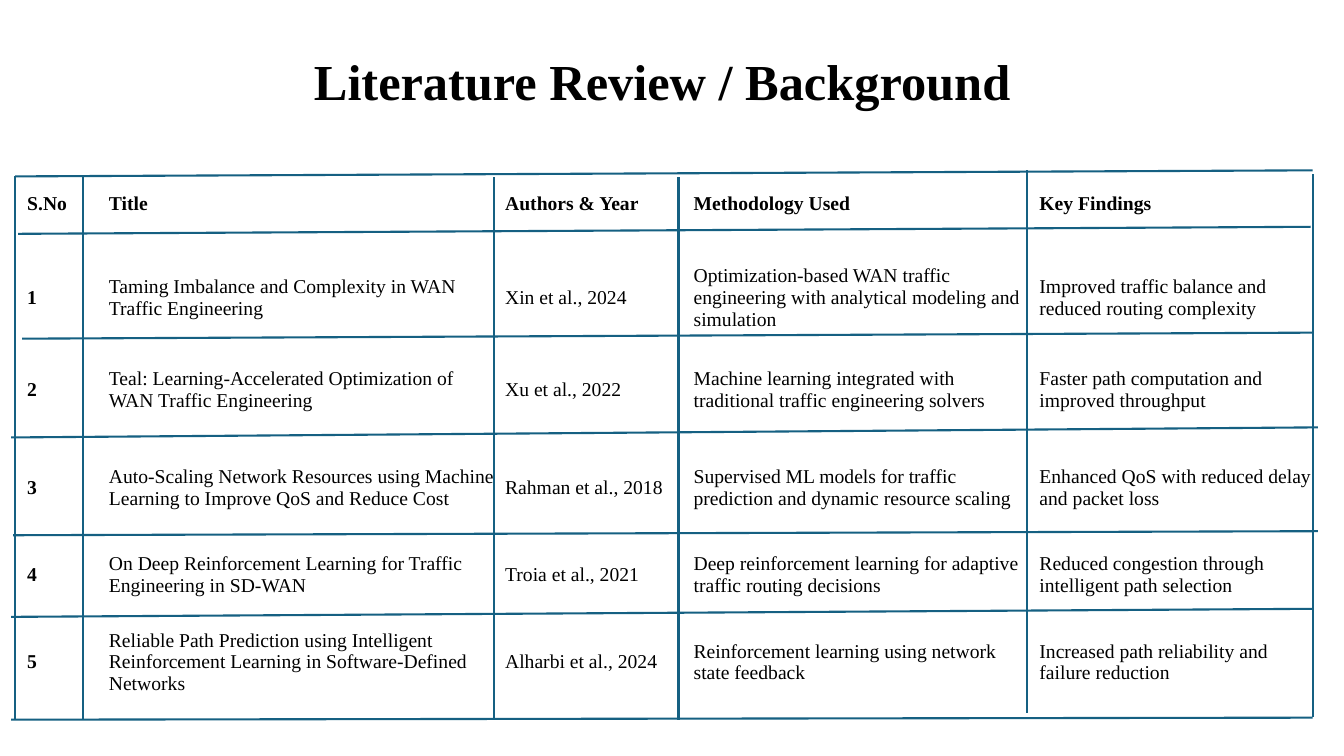
"""Build a literature review slide with a table and hand-ruled lines."""
import itertools
import pptx
import pptx.dml.color
import pptx.enum.shapes
import pptx.enum.text
import pptx.oxml.ns
import pptx.util
from lxml import etree

Inches, Pt = pptx.util.Inches, pptx.util.Pt
MIDDLE = pptx.enum.text.MSO_ANCHOR.MIDDLE
BLACK = pptx.dml.color.RGBColor(0x00, 0x00, 0x00)
TEAL = pptx.dml.color.RGBColor(0x15, 0x60, 0x82)
FONT = "Times New Roman"

TITLE = "Literature Review / Background"
HEADER = ("S.No", "Title", "Authors & Year", "Methodology Used", "Key Findings")
PAPERS = [
    ("Taming Imbalance and Complexity in WAN Traffic Engineering",
     "Xin et al., 2024",
     "Optimization-based WAN traffic engineering with analytical modeling and simulation",
     "Improved traffic balance and reduced routing complexity"),
    ("Teal: Learning-Accelerated Optimization of WAN Traffic Engineering",
     "Xu et al., 2022",
     "Machine learning integrated with traditional traffic engineering solvers",
     "Faster path computation and improved throughput"),
    ("Auto-Scaling Network Resources using Machine Learning to Improve QoS and Reduce Cost",
     "Rahman et al., 2018",
     "Supervised ML models for traffic prediction and dynamic resource scaling",
     "Enhanced QoS with reduced delay and packet loss"),
    ("On Deep Reinforcement Learning for Traffic Engineering in SD-WAN",
     "Troia et al., 2021",
     "Deep reinforcement learning for adaptive traffic routing decisions",
     "Reduced congestion through intelligent path selection"),
    ("Reliable Path Prediction using Intelligent Reinforcement Learning in Software-Defined Networks",
     "Alharbi et al., 2024",
     "Reinforcement learning using network state feedback",
     "Increased path reliability and failure reduction"),
]
TABLE_LEFT, TABLE_TOP = 0.22, 1.64
COLUMNS = (0.81, 3.93, 1.87, 3.43, 2.81)
ROWS = (0.77, 1.09, 0.73, 1.22, 0.47, 1.23)
ROW_RULES = [
    (0.15, 1.75, 13.02, 1.69), (0.18, 2.32, 13, 2.25), (0.22, 3.36, 13.02, 3.3),
    (0.11, 4.34, 13.07, 4.24), (0.13, 5.31, 13.07, 5.27),
    (0.11, 6.12, 13.02, 6.04), (0.11, 7.14, 13.02, 7.12),
]
COLUMN_RULES = [(0.15, 1.75), (0.82, 1.76), (4.9, 1.76),
                (6.73, 1.76), (10.19, 1.69), (13.02, 1.73)]
COLUMN_RULE_LENGTH = 5.38


def style(p, size, bold):
    p.font.name, p.font.size, p.font.bold = FONT, Pt(size), bold
    p.font.color.rgb = BLACK


def add_title(s):
    tf = s.shapes.add_textbox(*map(Inches, (0.82, 0.41, 11.5, 0.85))).text_frame
    tf.word_wrap = True
    tf.vertical_anchor = MIDDLE
    p = tf.paragraphs[0]
    p.text, p.line_spacing = TITLE, 0.9
    p.alignment = pptx.enum.text.PP_ALIGN.CENTER
    style(p, 36, True)


def add_papers(s):
    texts = [HEADER] + [(str(n), *paper) for n, paper in enumerate(PAPERS, 1)]
    box = (TABLE_LEFT, TABLE_TOP, sum(COLUMNS), sum(ROWS))
    table = s.shapes.add_table(len(ROWS), len(COLUMNS), *map(Inches, box)).table
    table.first_row = table.horz_banding = False
    for column, width in zip(table.columns, COLUMNS):
        column.width = Inches(width)
    for row, height in zip(table.rows, ROWS):
        row.height = Inches(height)
    for i, j in itertools.product(range(len(ROWS)), range(len(COLUMNS))):
        cell = table.cell(i, j)
        cell.fill.background()
        cell.vertical_anchor = MIDDLE
        cell.margin_left = cell.margin_right = Inches(0.05)
        cell.margin_top = cell.margin_bottom = Inches(0.02)
        p = cell.text_frame.paragraphs[0]
        p.text = texts[i][j]
        style(p, 14, i == 0 or j == 0)


def add_rule(s, ends):
    line = s.shapes.add_connector(
        pptx.enum.shapes.MSO_CONNECTOR.STRAIGHT, *map(Inches, ends))
    line.line.color.rgb, line.line.width = TEAL, Pt(1.5)
    etree.SubElement(line._element.spPr, pptx.oxml.ns.qn("a:effectLst"))


def main():
    prs = pptx.Presentation()
    prs.slide_width, prs.slide_height = Inches(13.33), Inches(7.5)
    s = prs.slides.add_slide(prs.slide_layouts[6])
    add_title(s)
    add_papers(s)
    column_rules = [(x, y, x, y + COLUMN_RULE_LENGTH) for x, y in COLUMN_RULES]
    for ends in ROW_RULES + column_rules:
        add_rule(s, ends)
    prs.save("out.pptx")


if __name__ == "__main__":
    main()
